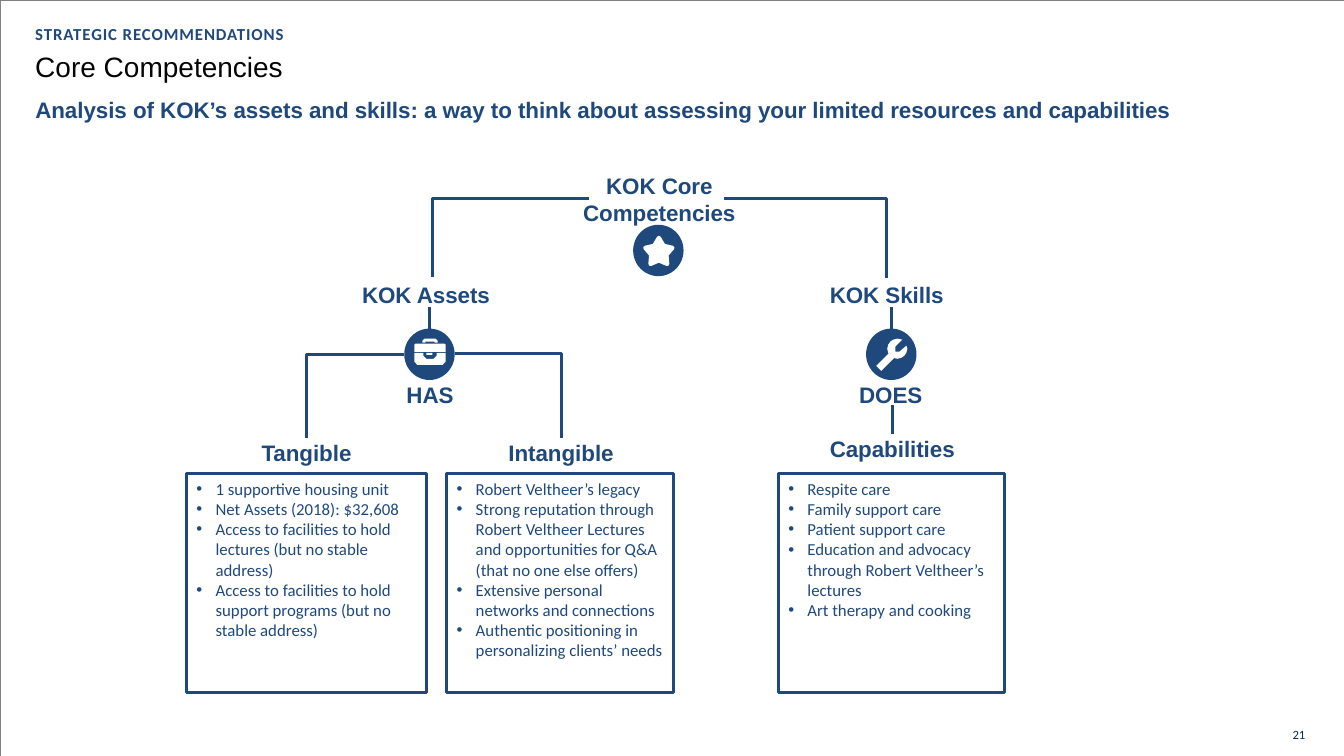
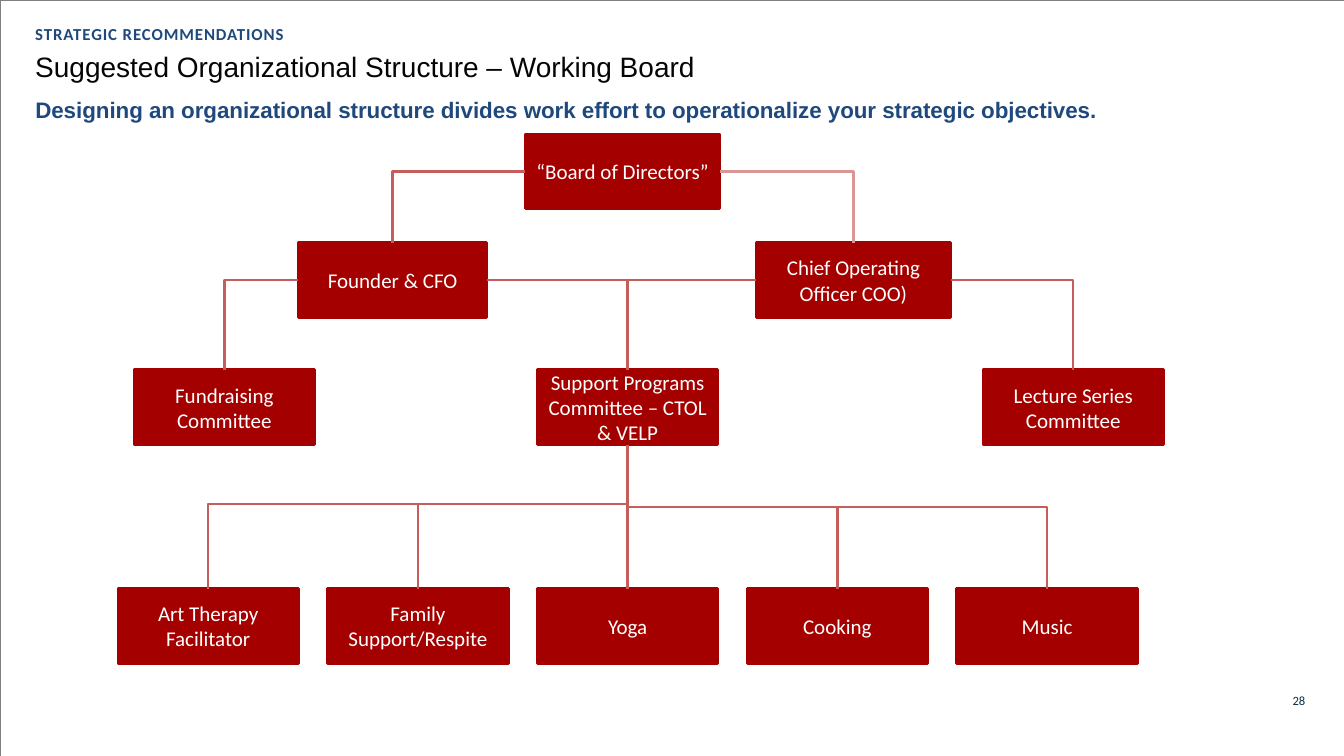
import lxml.etree
import pptx
import pptx.dml.color
import pptx.enum.shapes
import pptx.enum.text
import pptx.oxml.ns
import pptx.util

PX = 9144  # EMU in one px: 100 px to the inch
PAGE_WIDTH, PAGE_HEIGHT = 1333, 750

RGBColor = pptx.dml.color.RGBColor
NAVY = RGBColor(0x1F, 0x49, 0x7D)
INK = RGBColor(0x05, 0x05, 0x05)
FOOTER = RGBColor(0x0A, 0x2E, 0x47)
WHITE = RGBColor(0xFF, 0xFF, 0xFF)
GREY = RGBColor(0x80, 0x80, 0x80)
RED = RGBColor(0xA4, 0x00, 0x00)
ROSE = RGBColor(0xC5, 0x5E, 0x5B)
PALE_ROSE = RGBColor(0xD9, 0x96, 0x94)

SHAPE = pptx.enum.shapes.MSO_SHAPE
CONNECTOR = pptx.enum.shapes.MSO_CONNECTOR
ANCHOR = pptx.enum.text.MSO_ANCHOR
LEFT = pptx.enum.text.PP_ALIGN.LEFT
CENTER = pptx.enum.text.PP_ALIGN.CENTER
TOP_SIDE, LEFT_SIDE, BOTTOM_SIDE, RIGHT_SIDE = range(4)

BOX_HEIGHT = 74
COMMITTEE_WIDTH = 179


def px(*lengths):
    return [pptx.util.Emu(length * PX) for length in lengths]


def add_xml(parent, tag, **attributes):
    return lxml.etree.SubElement(parent, pptx.oxml.ns.qn(tag), **attributes)


def style_font(para, size, color, font="Calibri", bold=False):
    para.font.size = pptx.util.Pt(size)
    para.font.name = font
    para.font.bold = bold
    para.font.color.rgb = color


def paint(shape, fill=None, line=None, width=2):
    shape.shadow.inherit = False
    if fill is None:
        shape.fill.background()
    else:
        shape.fill.solid()
        shape.fill.fore_color.rgb = fill
    if line is None:
        shape.line.fill.background()
    else:
        shape.line.color.rgb = line
        shape.line.width = pptx.util.Pt(width)


def add_figure(page, kind, at, fill=None, line=None, width=2):
    figure = page.shapes.add_shape(kind, *px(*at))
    paint(figure, fill, line, width)
    return figure


def add_polygon(page, points, fill=WHITE):
    builder = page.shapes.build_freeform(*points[0], scale=PX)
    builder.add_line_segments(points[1:])
    paint(builder.convert_to_shape(), fill)


def add_text(page, at, text, size=16, color=NAVY, font="Arial", bold=True,
             align=LEFT, tracking=-4, before=1):
    box = page.shapes.add_textbox(*px(*at))
    frame = box.text_frame
    frame.word_wrap = True
    frame.margin_left = frame.margin_right = frame.margin_bottom = 0
    frame.margin_top = PX
    para = frame.paragraphs[0]
    para.alignment = align
    para.space_before = pptx.util.Pt(before)
    span = para.add_run()
    span.text = text
    span._r.get_or_add_rPr().set("spc", str(tracking))
    style_font(para, size, color, font, bold)
    return box


def add_label(page, at, text):
    return add_text(page, at, text, align=CENTER)


def add_link(page, start, end, color=NAVY, width=2, bent=False):
    """A line; a bent one runs across first, then down."""
    kind = CONNECTOR.ELBOW if bent else CONNECTOR.STRAIGHT
    link = page.shapes.add_connector(kind, *px(*start, *end))
    link.line.color.rgb = color
    link.line.width = pptx.util.Pt(width)
    properties = link._element.spPr
    if bent:
        geometry = properties.find(pptx.oxml.ns.qn("a:prstGeom"))
        geometry.set("prst", "bentConnector2")
    add_xml(properties, "a:effectLst")
    return link


def join(page, upper, upper_side, lower, color=ROSE):
    """Joins a side of one box to the top of a lower one."""
    link = add_link(page, (0, 0), (1, 1), color, 1.75,
                    bent=upper_side != BOTTOM_SIDE)
    link.begin_connect(upper, upper_side)
    link.end_connect(lower, TOP_SIDE)


def add_bullet_box(page, at, items):
    box = add_figure(page, SHAPE.RECTANGLE, at, line=NAVY)
    frame = box.text_frame
    frame.word_wrap = True
    frame.vertical_anchor = ANCHOR.TOP
    frame.text = "\n".join(items)
    indent = 19 * PX
    for para in frame.paragraphs:
        para.alignment = LEFT
        style_font(para, 12, NAVY)
        properties = para._p.get_or_add_pPr()
        properties.set("marL", str(indent))
        properties.set("indent", str(-indent))
        bullet_font = lxml.etree.Element(pptx.oxml.ns.qn("a:buFont"), typeface="Arial")
        bullet = lxml.etree.Element(pptx.oxml.ns.qn("a:buChar"), char="•")
        properties.insert(0, bullet_font)
        properties.insert(1, bullet)


def add_role_box(page, left, top, width, text):
    box = add_figure(page, SHAPE.RECTANGLE, (left, top, width, BOX_HEIGHT), RED, RED)
    frame = box.text_frame
    frame.word_wrap = True
    frame.vertical_anchor = ANCHOR.MIDDLE
    frame.text = text
    for para in frame.paragraphs:
        para.alignment = CENTER
        style_font(para, 15, WHITE)
    return box


def add_disc(page, left, top):
    return add_figure(page, SHAPE.OVAL, (left, top, 50, 51), NAVY)


def add_star(page):
    star = add_figure(page, SHAPE.STAR_5_POINT, (640, 236, 27, 26), WHITE, WHITE, 3)
    star.adjustments[0] = 0.28
    add_xml(star._element.spPr.find(pptx.oxml.ns.qn("a:ln")), "a:round")


def add_briefcase(page):
    # Handle, lid, body and latch
    add_polygon(page, [(422, 339), (431, 339), (431, 340), (434, 340), (434, 338),
                       (432, 336), (421, 336), (419, 338), (419, 340), (422, 340)])
    add_figure(page, SHAPE.ROUND_2_SAME_RECTANGLE, (411, 341, 31, 8), WHITE)
    add_polygon(page, [(411, 350), (420, 350), (420, 353), (423, 356), (430, 356),
                       (433, 353), (433, 350), (442, 350), (442, 359), (439, 362),
                       (414, 362), (411, 359)])
    add_figure(page, SHAPE.RECTANGLE, (423, 350, 6, 2), WHITE)


def add_wrench(page):
    # Grip and jaw
    add_polygon(page, [(869, 363), (884, 348), (889, 353), (874, 368)])
    add_polygon(page, [(883, 353), (881, 350), (880, 346), (881, 342), (883, 339),
                       (886, 337), (890, 336), (895, 337), (888, 344), (888, 349),
                       (892, 349), (899, 343), (900, 346), (899, 350), (897, 353),
                       (894, 355), (890, 356), (886, 355)])


def add_page(deck, title, message, number, number_top):
    """A blank page with the frame, headings and page number all pages share."""
    page = deck.slides.add_slide(deck.slide_layouts[6])
    add_figure(page, SHAPE.RECTANGLE, (0, 0, PAGE_WIDTH, PAGE_HEIGHT),
               line=GREY, width=0.48)
    add_text(page, (35, 23, 306, 22), "STRATEGIC RECOMMENDATIONS", 12,
             font="Calibri", tracking=65)
    add_text(page, (35, 48, 724, 35), title, 20, INK, bold=False)
    add_text(page, (35, 94, 1225, 28), message)
    footer = add_text(page, (1282, number_top, 26, 15), number, 9, FOOTER,
                      "Calibri", bold=False, tracking=0, before=0)
    footer.text_frame.margin_top = 0
    footer.text_frame.paragraphs[0].line_spacing = pptx.util.Pt(9.6)
    return page


def build_competencies(deck):
    page = add_page(
        deck, "Core Competencies",
        "Analysis of KOK’s assets and skills: a way to think about assessing "
        "your limited resources and capabilities", "21", 723)

    # Headings of the tree
    for at, text in [
        ((556, 170, 196, 55), "KOK Core Competencies"),
        ((335, 278, 175, 28), "KOK Assets"),
        ((792, 278, 175, 28), "KOK Skills"),
        ((339, 377, 175, 28), "HAS"),
        ((796, 377, 175, 28), "DOES"),
        ((185, 435, 238, 28), "Tangible"),
        ((445, 435, 223, 28), "Intangible"),
    ]:
        add_label(page, at, text)
    capabilities = add_label(page, (768, 431, 234, 29), "Capabilities")

    # Branches
    for start, end in [
        ((584, 197), (429, 275)),
        ((718, 197), (879, 276)),
        ((401, 352), (304, 435)),
        ((451, 351), (557, 435)),
    ]:
        add_link(page, start, end, bent=True)
    add_link(page, (885, 402), (885, 431)).end_connect(capabilities, TOP_SIDE)

    # Icons
    add_disc(page, 628, 223)
    for left in (401, 859):
        disc = add_disc(page, left, 326)
        stem = add_link(page, (left + 25, 305), (left + 25, 326))
        stem.end_connect(disc, TOP_SIDE)
    add_star(page)
    add_briefcase(page)
    add_wrench(page)

    # Lists
    for left, width, items in [
        (185, 238, ["1 supportive housing unit",
                    "Net Assets (2018): $32,608",
                    "Access to facilities to hold lectures (but no stable address)",
                    "Access to facilities to hold support programs (but no stable address)"]),
        (443, 225, ["Robert Veltheer’s legacy",
                    "Strong reputation through Robert Veltheer Lectures and "
                    "opportunities for Q&A (that no one else offers)",
                    "Extensive personal networks and connections",
                    "Authentic positioning in personalizing clients’ needs"]),
        (772, 224, ["Respite care",
                    "Family support care",
                    "Patient support care",
                    "Education and advocacy through Robert Veltheer’s lectures",
                    "Art therapy and cooking"]),
    ]:
        add_bullet_box(page, (left, 470, width, 217), items)


def build_organization(deck):
    page = add_page(
        deck, "Suggested Organizational Structure – Working Board",
        "Designing an organizational structure divides work effort to "
        "operationalize your strategic objectives.", "28", 689)

    # Board, officers and committees
    board = add_role_box(page, 521, 133, 193, "“Board of Directors”")
    founder = add_role_box(page, 296, 241, 187, "Founder & CFO")
    operations = add_role_box(page, 750, 241, 193, "Chief Operating Officer COO)")
    fundraising, support, lectures = [
        add_role_box(page, left, 367, COMMITTEE_WIDTH, text)
        for left, text in [(133, "Fundraising Committee"),
                           (533, "Support Programs Committee – CTOL & VELP"),
                           (975, "Lecture Series Committee")]]
    join(page, board, LEFT_SIDE, founder)
    join(page, board, RIGHT_SIDE, operations, PALE_ROSE)
    join(page, founder, LEFT_SIDE, fundraising)
    join(page, founder, RIGHT_SIDE, support)
    join(page, operations, LEFT_SIDE, support)
    join(page, operations, RIGHT_SIDE, lectures)

    # Programs, evenly spaced around the trunk below the support committee
    programs = ["Art Therapy\nFacilitator", "Family Support/Respite", "Yoga",
                "Cooking", "Music"]
    middle, pitch, top, trunk = 2, 208, 584, 623
    for index, text in enumerate(programs):
        offset = (index - middle) * pitch
        program = add_role_box(page, 533 + offset, top, COMMITTEE_WIDTH, text)
        if index == middle:
            join(page, support, BOTTOM_SIDE, program)
        else:
            branch = 500 if index < middle else 503
            link = add_link(page, (trunk, branch), (trunk + offset, top),
                            ROSE, 1.75, bent=True)
            link.end_connect(program, TOP_SIDE)


def main():
    deck = pptx.Presentation()
    deck.slide_width, deck.slide_height = px(PAGE_WIDTH, PAGE_HEIGHT)
    build_competencies(deck)
    build_organization(deck)
    deck.save("out.pptx")


if __name__ == "__main__":
    main()
